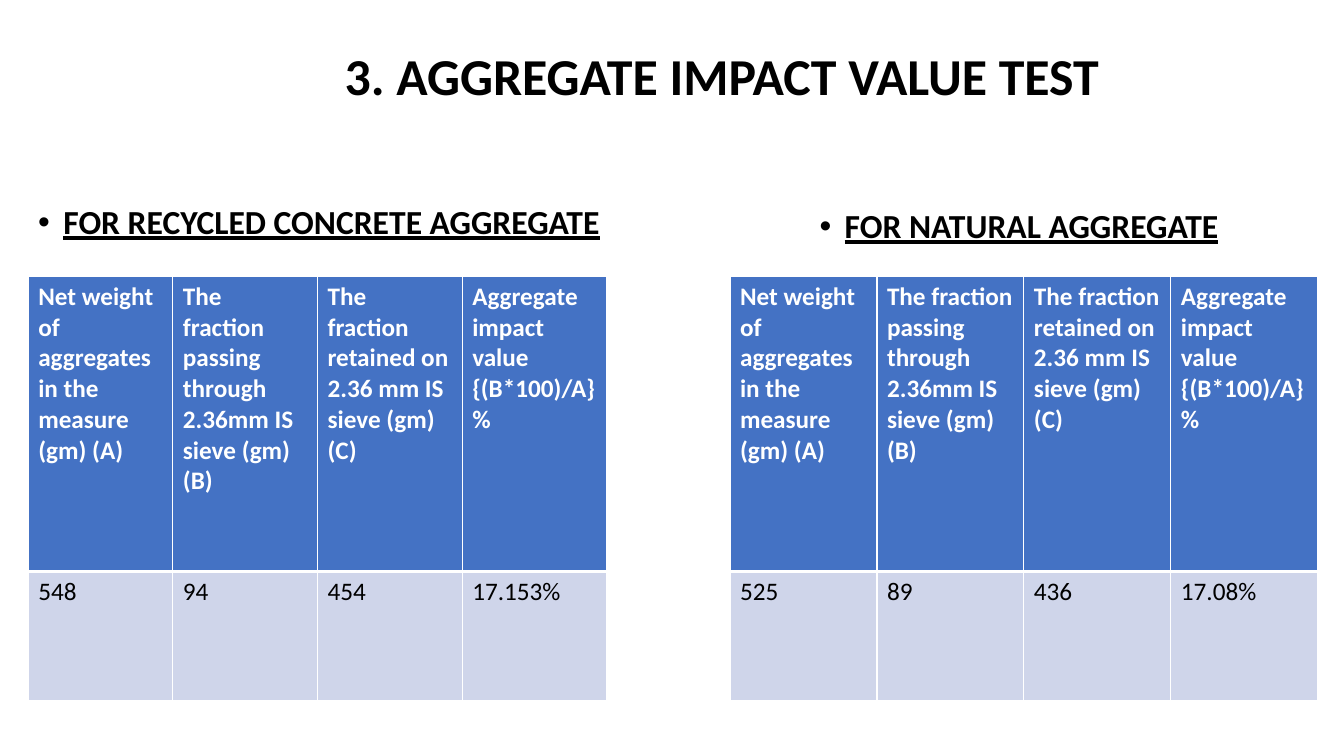
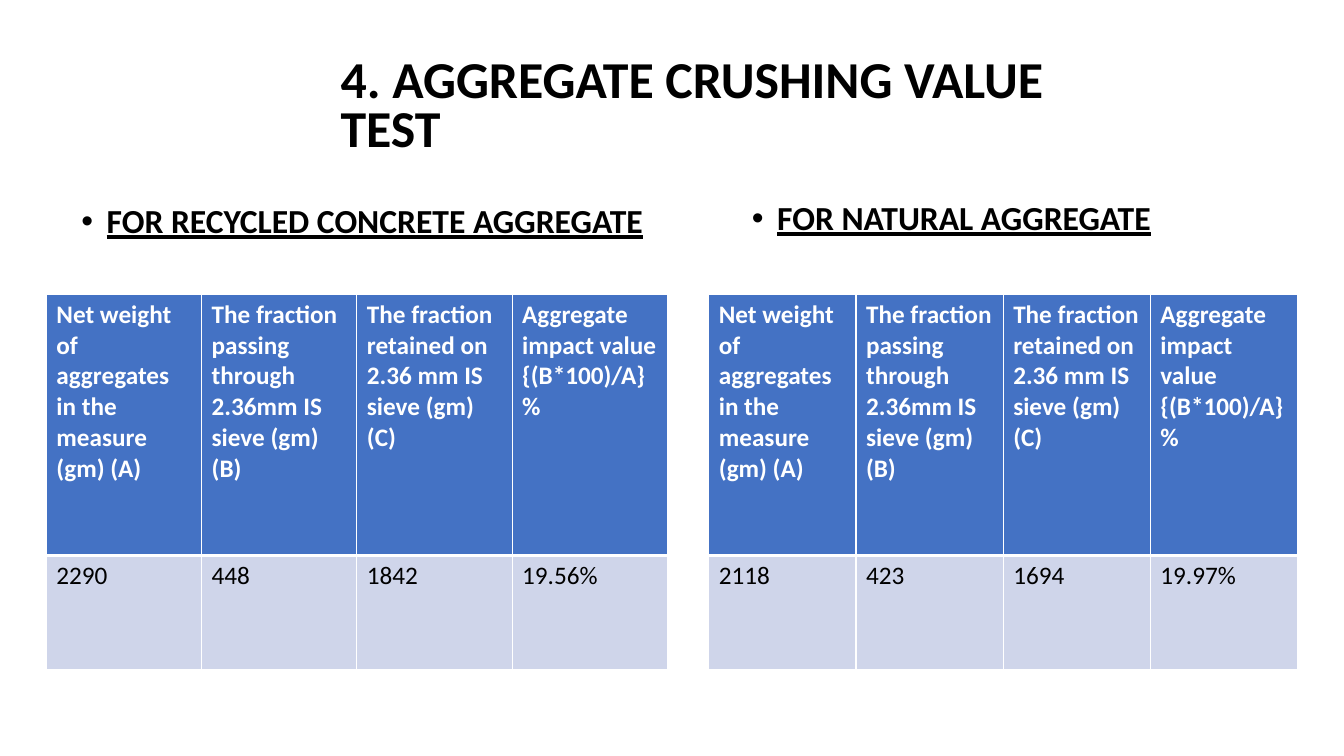
"""Build two slides of aggregate test results."""
import dataclasses

import lxml.etree
import pptx
import pptx.dml.color
import pptx.enum.text
import pptx.oxml.ns
import pptx.util

Inches = pptx.util.Inches
Pt = pptx.util.Pt


@dataclasses.dataclass(frozen=True)
class Theme:
    """Colours, font and type sizes of the deck."""
    font: str = "Calibri"
    ink: str = "000000"
    paper: str = "FFFFFF"
    header_fill: str = "4472C4"
    body_fill: str = "CFD5EA"
    title_size: int = 37
    heading_size: int = 24
    cell_size: int = 18
    thin_rule: int = 1
    thick_rule: int = 3


THEME = Theme()

COLUMN_HEADS = (
    ("Net weight of aggregates in the measure (gm) (A)",),
    ("The fraction passing through 2.36mm IS sieve (gm) (B)",),
    ("The fraction retained on 2.36 mm IS sieve (gm) (C)",),
    ("Aggregate impact value", "{(B*100)/A} %"),
)
RECYCLED = "FOR RECYCLED CONCRETE AGGREGATE"
NATURAL = "FOR NATURAL AGGREGATE"

TESTS = (
    {
        "title": ("3. AGGREGATE IMPACT VALUE TEST", (3.32, 0.45, 7.84, 1.44), 0.9),
        "row_heights": (2.93, 1.28),
        "samples": (
            (RECYCLED, (0.28, 1.99, 6.01, 0.71), (0.28, 2.74, 5.74),
             ("548", "94", "454", "17.153%")),
            (NATURAL, (8.03, 2.03, 5.3, 0.71), (7.24, 2.74, 5.83),
             ("525", "89", "436", "17.08%")),
        ),
    },
    {
        "title": ("4. AGGREGATE CRUSHING VALUE TEST", (3.28, 0.53, 8.23, 1.16), 0.8),
        "row_heights": (2.59, 1.13),
        "samples": (
            (RECYCLED, (0.71, 1.98, 6.16, 0.71), (0.46, 2.92, 6.16),
             ("2290", "448", "1842", "19.56%")),
            (NATURAL, (7.36, 1.95, 5.97, 0.71), (7.03, 2.92, 5.84),
             ("2118", "423", "1694", "19.97%")),
        ),
    },
)


def rgb(colour):
    """Return a colour object for a hex string."""
    return pptx.dml.color.RGBColor.from_string(colour)


def add_xml(parent, tag, **attributes):
    """Append a drawing element to its parent."""
    return lxml.etree.SubElement(parent, pptx.oxml.ns.qn(tag), attributes)


def add_span(para, text, size, colour=THEME.ink, bold=True, underline=None):
    """Add one styled run to a paragraph."""
    span = para.add_run()
    span.text = text
    span.font.name = THEME.font
    span.font.size = Pt(size)
    span.font.color.rgb = rgb(colour)
    span.font.bold = bold
    span.font.underline = underline


def add_box(page, bounds, line_spacing):
    """Add a wrapping text box and return its first paragraph."""
    box = page.shapes.add_textbox(*map(Inches, bounds))
    box.text_frame.word_wrap = True
    box.text_frame.vertical_anchor = pptx.enum.text.MSO_ANCHOR.TOP
    para = box.text_frame.paragraphs[0]
    para.line_spacing = line_spacing
    return para


def add_title(page, text, bounds, line_spacing):
    """Add the slide title."""
    add_span(add_box(page, bounds, line_spacing), text, THEME.title_size)


def add_heading(page, text, bounds):
    """Add a bulleted, underlined heading."""
    para = add_box(page, bounds, 0.9)
    properties = para._p.get_or_add_pPr()
    properties.set("marL", str(Inches(0.25)))
    properties.set("indent", str(-Inches(0.25)))
    add_xml(properties, "a:buFont", typeface="Arial")
    add_xml(properties, "a:buChar", char="•")
    add_span(para, text, THEME.heading_size, underline=True)


def set_borders(cell, top, bottom):
    """Rule a cell on four sides in the paper colour."""
    properties = cell._tc.get_or_add_tcPr()
    sides = {"L": THEME.thin_rule, "R": THEME.thin_rule, "T": top, "B": bottom}
    for side, width in sides.items():
        line = add_xml(properties, f"a:ln{side}", w=str(Pt(width)))
        add_xml(add_xml(line, "a:solidFill"), "a:srgbClr", val=THEME.paper)


def fill_cell(cell, lines, is_header):
    """Style a cell and write its lines as paragraphs."""
    thin, thick = THEME.thin_rule, THEME.thick_rule
    set_borders(cell, *((thin, thick) if is_header else (thick, thin)))
    cell.fill.solid()
    cell.fill.fore_color.rgb = rgb(THEME.header_fill if is_header else THEME.body_fill)
    colour = THEME.paper if is_header else THEME.ink
    for index, text in enumerate(lines):
        frame = cell.text_frame
        para = frame.add_paragraph() if index else frame.paragraphs[0]
        add_span(para, text, THEME.cell_size, colour, bold=is_header)


def add_result_table(page, left, top, width, row_heights, values):
    """Add a table with a header row and one row of results."""
    rows = (COLUMN_HEADS, [(value,) for value in values])
    table = page.shapes.add_table(
        len(rows), len(COLUMN_HEADS), Inches(left), Inches(top),
        Inches(width), Inches(sum(row_heights))).table
    table.horz_banding = False
    for column in table.columns:
        column.width = Inches(width / len(COLUMN_HEADS))
    for row_index, (height, row) in enumerate(zip(row_heights, rows)):
        table.rows[row_index].height = Inches(height)
        for column_index, lines in enumerate(row):
            fill_cell(table.cell(row_index, column_index), lines, row_index == 0)


def add_test_page(deck, test):
    """Add one slide comparing both samples in a test."""
    page = deck.slides.add_slide(deck.slide_layouts[6])
    add_title(page, *test["title"])
    for heading, heading_bounds, table_place, values in test["samples"]:
        add_heading(page, heading, heading_bounds)
        add_result_table(page, *table_place, test["row_heights"], values)


def main():
    """Build and save the deck."""
    deck = pptx.Presentation()
    deck.slide_width = Inches(13.33)
    deck.slide_height = Inches(7.5)
    for test in TESTS:
        add_test_page(deck, test)
    deck.save("out.pptx")


if __name__ == "__main__":
    main()
